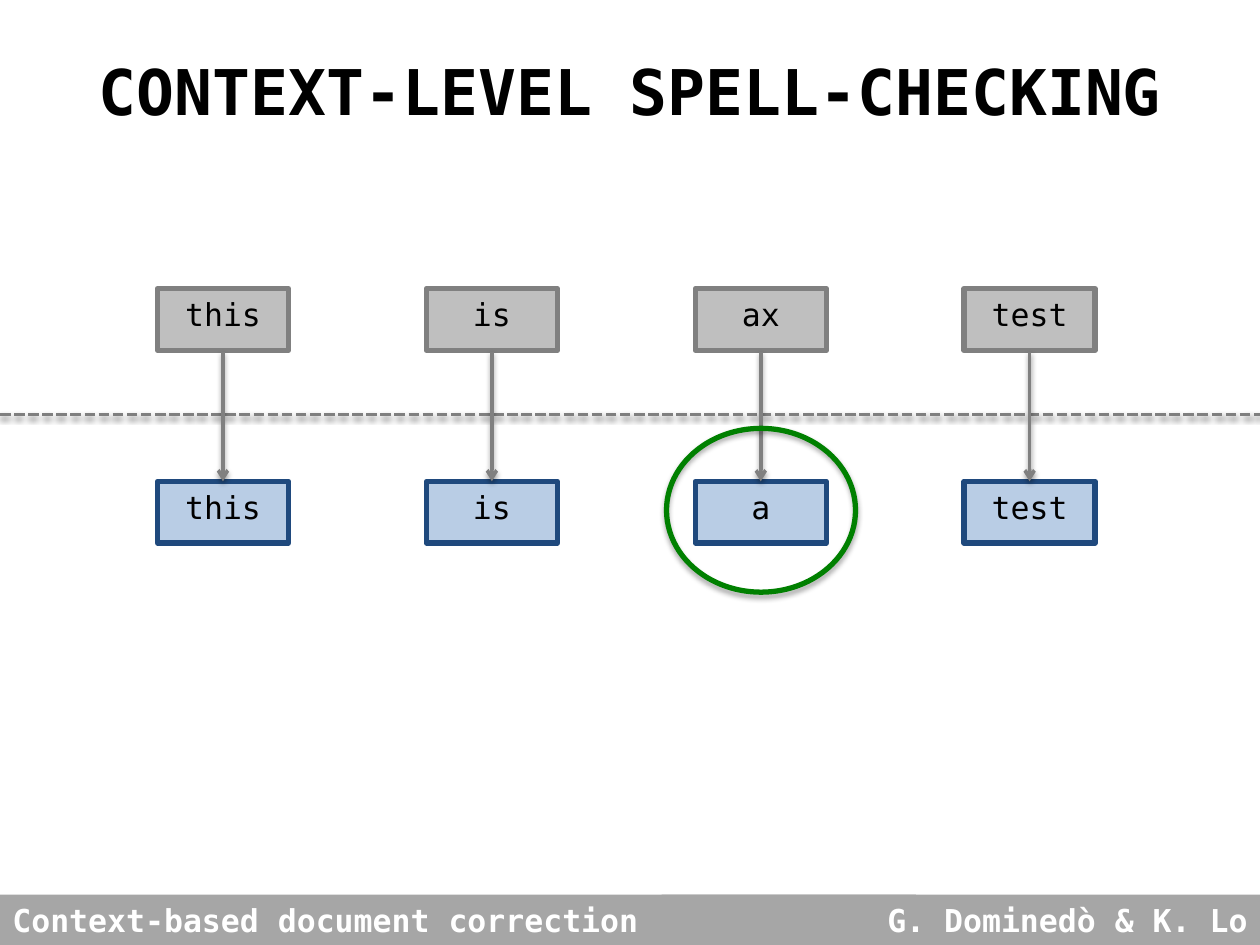
from lxml import etree
from pptx import Presentation
from pptx import util as u
from pptx.dml.color import RGBColor
from pptx.enum import dml, shapes, text
from pptx.oxml.ns import qn

FONT = "DejaVu Sans Mono"
COLORS = {
    "black": "000000", "white": "FFFFFF", "gray": "808080",
    "input": "BFBFBF", "output": "B9CDE5", "navy": "1F497D",
    "dash": "7F7F7F", "green": "008000", "footer": "A6A6A6",
}
rgb = {name: RGBColor.from_string(value) for name, value in COLORS.items()}


def add_text(sp, words, size, color, bold, align, wrap=True):
    tf = sp.text_frame
    tf.word_wrap = wrap
    tf.vertical_anchor = text.MSO_ANCHOR.TOP
    p = tf.paragraphs[0]
    p.alignment = align
    r = p.add_run()
    r.text = words
    r.font.name = FONT
    r.font.size = u.Pt(size)
    r.font.bold = bold
    r.font.color.rgb = rgb[color]
    return p


def add_shadow(sp, alpha, dist):
    spPr = sp._element.spPr
    effects = spPr.find(qn("a:effectLst"))
    if effects is None:
        effects = etree.SubElement(spPr, qn("a:effectLst"))
    shadow = etree.SubElement(effects, qn("a:outerShdw"), blurRad=str(u.Pt(3.1)),
                              dist=str(u.Pt(dist)), dir="5400000", rotWithShape="0")
    clr = etree.SubElement(shadow, qn("a:srgbClr"), val=COLORS["black"])
    etree.SubElement(clr, qn("a:alpha"), val=str(alpha * 1000))


prs = Presentation()
prs.slide_width, prs.slide_height = u.Inches(10), u.Inches(7.5)
s = prs.slides.add_slide(prs.slide_layouts[5])

title = s.shapes.title
title.left, title.top = u.Inches(0), u.Inches(0.37)
title.width, title.height = u.Inches(10), u.Inches(0.71)
add_text(title, "CONTEXT-LEVEL SPELL-CHECKING", 36, "black", True, text.PP_ALIGN.CENTER)

left, pitch, box_w, box_h = 1.25, 2.134, 1.04, 0.49
rows = [
    (2.29, "input", "gray", ["this", "is", "ax", "test"]),
    (3.82, "output", "navy", ["this", "is", "a", "test"]),
]
for top, fill, line, words in rows:
    for i, word in enumerate(words):
        sp = s.shapes.add_shape(shapes.MSO_SHAPE.RECTANGLE, u.Inches(left + i * pitch),
                                u.Inches(top), u.Inches(box_w), u.Inches(box_h))
        sp.shadow.inherit = False
        sp.fill.solid()
        sp.fill.fore_color.rgb = rgb[fill]
        sp.line.color.rgb = rgb[line]
        sp.line.width = u.Pt(3)
        add_text(sp, word, 18, "black", False, text.PP_ALIGN.CENTER, wrap=False)

centers = [left + box_w / 2 + i * pitch for i in range(4)]
lines = [(0, 3.29, 10, 3.29, "dash")]
lines += [(x, 2.79, x, 3.82, "gray") for x in centers]
for x1, y1, x2, y2, color in lines:
    c = s.shapes.add_connector(shapes.MSO_CONNECTOR.STRAIGHT, u.Inches(x1),
                               u.Inches(y1), u.Inches(x2), u.Inches(y2))
    c.line.color.rgb = rgb[color]
    c.line.width = u.Pt(2)
    if color == "dash":
        c.line.dash_style = dml.MSO_LINE.SQUARE_DOT
    else:
        etree.SubElement(c.line._get_or_add_ln(), qn("a:tailEnd"), type="arrow")
    add_shadow(c, 38, 1.6)

ring = s.shapes.add_shape(shapes.MSO_SHAPE.OVAL, u.Inches(5.29), u.Inches(3.4),
                          u.Inches(1.5), u.Inches(1.3))
ring.shadow.inherit = False
ring.fill.background()
ring.line.color.rgb = rgb["green"]
ring.line.width = u.Pt(3)
add_shadow(ring, 35, 1.8)

footers = [
    (0, 7.27, "Context-based document correction", text.PP_ALIGN.LEFT, 0),
    (5.25, 4.75, "G. Dominedò & K. Lo", text.PP_ALIGN.RIGHT, 1),
]
for x, w, words, align, level in footers:
    sp = s.shapes.add_shape(shapes.MSO_SHAPE.RECTANGLE, u.Inches(x), u.Inches(7.1),
                            u.Inches(w), u.Inches(0.4))
    sp.shadow.inherit = False
    sp.fill.solid()
    sp.fill.fore_color.rgb = rgb["footer"]
    sp.line.fill.background()
    p = add_text(sp, words, 18, "white", True, align)
    p.level = level

prs.save("out.pptx")
